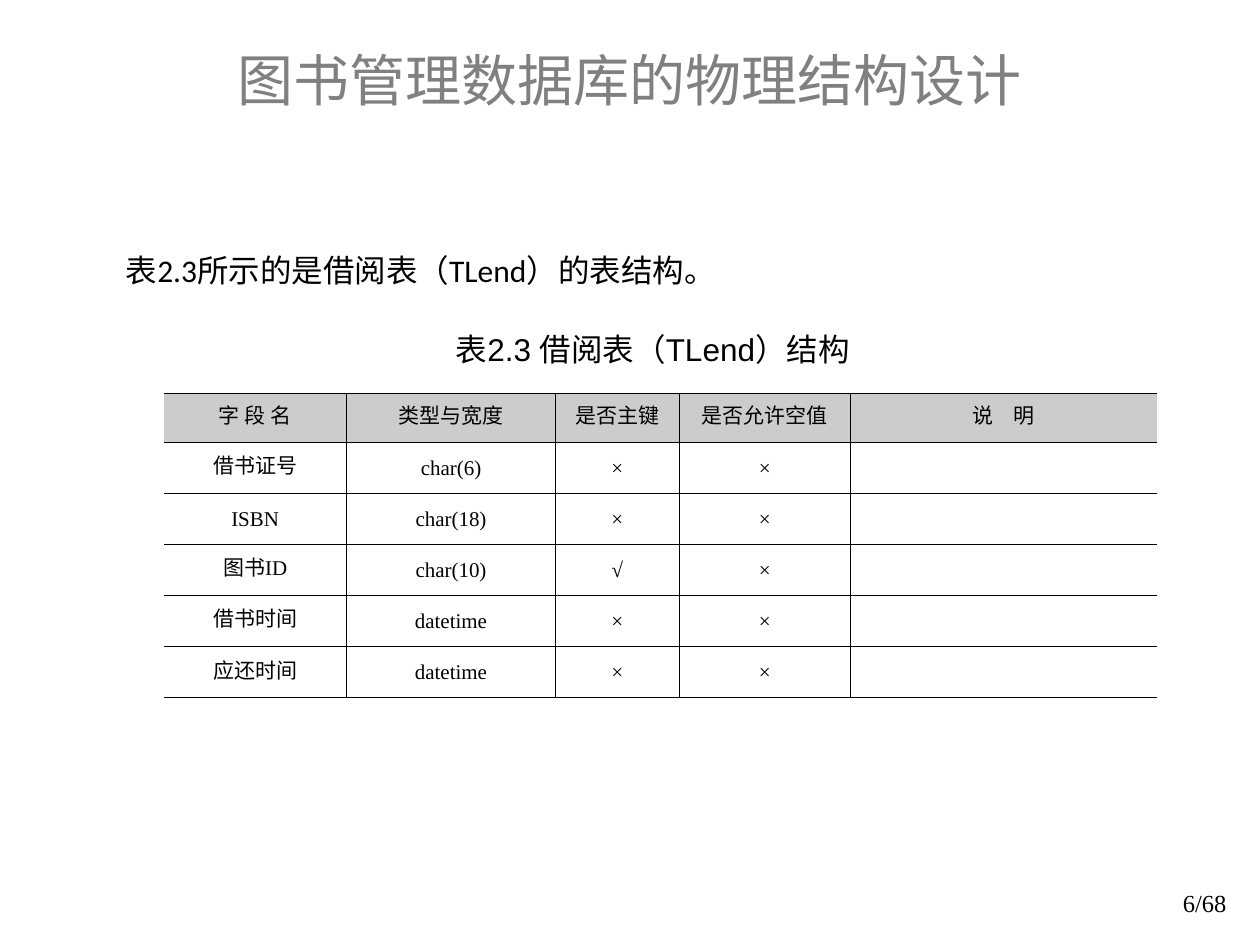
from dataclasses import dataclass

from lxml.etree import SubElement
from pptx import Presentation
from pptx.dml.color import RGBColor
from pptx.enum.text import MSO_ANCHOR as Anchor, MSO_AUTO_SIZE as AutoSize, PP_ALIGN as Align
from pptx.oxml.ns import qn
from pptx.util import Pt

COLORS = {"text": "000000", "title": "808080", "header": "CCCCCC", "border": "000000"}
BORDER_WIDTH = 0.45
COLUMN_WIDTHS = [104.4, 119.5, 70.6, 97.9, 175]
HEADER_HEIGHT, ROW_HEIGHT = 28, 28.8
ROWS = [
    ["字 段 名", "类型与宽度", "是否主键", "是否允许空值", "说　明"],
    ["借书证号", "char(6)", "×", "×", ""],
    ["ISBN", "char(18)", "×", "×", ""],
    ["图书ID", "char(10)", "√", "×", ""],
    ["借书时间", "datetime", "×", "×", ""],
    ["应还时间", "datetime", "×", "×", ""],
]


@dataclass
class Label:
    text: str
    left: float
    top: float
    width: float
    height: float
    size: float
    font: str
    align: Align = Align.LEFT
    anchor: Anchor = Anchor.TOP
    wrap: bool = True
    color: str = "text"


TITLE = Label("图书管理数据库的物理结构设计", 54, 0, 612, 90, 32, "Arial",
              Align.CENTER, Anchor.MIDDLE, color="title")
LABELS = [
    Label("6/68", 558, 504, 150, 36, 14, "Times New Roman", Align.RIGHT),
    Label("表2.3所示的是借阅表（TLend）的表结构。", 64.8, 139.7, 362.9, 29, 18, "Calibri"),
    Label("表2.3 借阅表（TLend）结构", 253.4, 185, 261.4, 29, 18, "Arial", wrap=False),
]


def format_paragraph(p, size: float, font: str, color: str, align: Align) -> None:
    p.alignment = align
    for r in p.runs:
        r.font.size = Pt(size)
        r.font.name = font
        r.font.color.rgb = RGBColor.from_string(COLORS[color])


def fill_label(sp, label: Label) -> None:
    sp.left, sp.top = Pt(label.left), Pt(label.top)
    sp.width, sp.height = Pt(label.width), Pt(label.height)
    tf = sp.text_frame
    tf.text = label.text
    tf.auto_size = AutoSize.NONE
    tf.word_wrap = label.wrap
    tf.vertical_anchor = label.anchor
    format_paragraph(tf.paragraphs[0], label.size, label.font, label.color, label.align)


def set_border(cell, side: str, visible: bool) -> None:
    ln = SubElement(cell._tc.get_or_add_tcPr(), qn(f"a:ln{side}"), w=str(Pt(BORDER_WIDTH)))
    if visible:
        fill = SubElement(ln, qn("a:solidFill"))
        SubElement(fill, qn("a:srgbClr"), val=COLORS["border"])
    else:
        SubElement(ln, qn("a:noFill"))


def format_cell(cell, text: str, is_header: bool, is_first: bool, is_last: bool) -> None:
    cell.vertical_anchor = Anchor.MIDDLE
    cell.margin_left = cell.margin_right = Pt(5.4)
    for side, visible in (("L", not is_first), ("R", not is_last), ("T", True), ("B", True)):
        set_border(cell, side, visible)
    if is_header:
        cell.fill.solid()
        cell.fill.fore_color.rgb = RGBColor.from_string(COLORS["header"])
    else:
        cell.fill.background()
    if text:
        cell.text_frame.text = text
        p = cell.text_frame.paragraphs[0]
        p.line_spacing = Pt(14)
        format_paragraph(p, 12, "Arial" if is_header else "Times New Roman", "text", Align.CENTER)


def add_field_table(slide) -> None:
    heights = [HEADER_HEIGHT] + [ROW_HEIGHT] * (len(ROWS) - 1)
    table = slide.shapes.add_table(
        len(ROWS), len(COLUMN_WIDTHS), Pt(93.6), Pt(224.6),
        Pt(sum(COLUMN_WIDTHS)), Pt(sum(heights))).table
    table.first_row = table.horz_banding = False
    for column, width in zip(table.columns, COLUMN_WIDTHS):
        column.width = Pt(width)
    for i, (row, height) in enumerate(zip(table.rows, heights)):
        row.height = Pt(height)
        for j, text in enumerate(ROWS[i]):
            format_cell(table.cell(i, j), text, i == 0, j == 0, j == len(COLUMN_WIDTHS) - 1)


def main() -> None:
    prs = Presentation()
    prs.slide_width, prs.slide_height = Pt(720), Pt(540)
    slide = prs.slides.add_slide(prs.slide_layouts[5])
    fill_label(slide.shapes.title, TITLE)
    for label in LABELS:
        sp = slide.shapes.add_textbox(0, 0, 0, 0)
        fill_label(sp, label)
    add_field_table(slide)
    prs.save("out.pptx")


if __name__ == "__main__":
    main()
